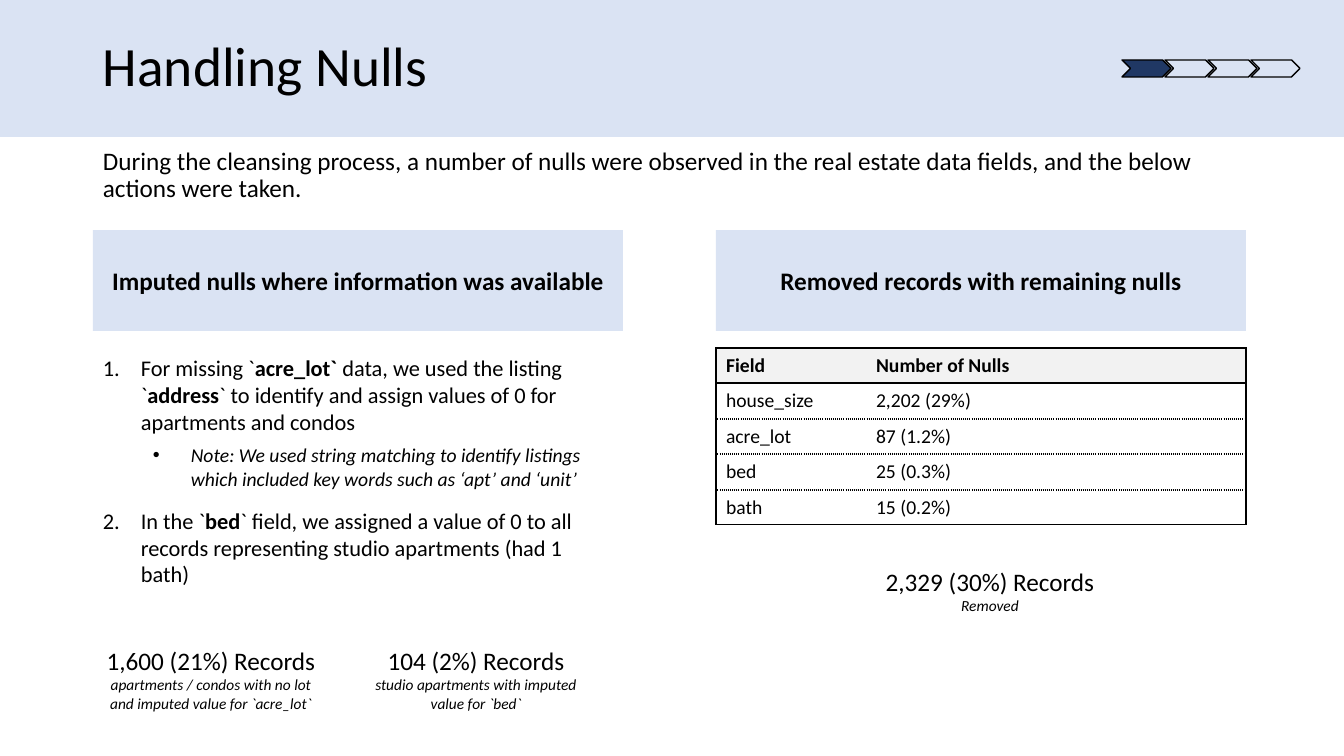
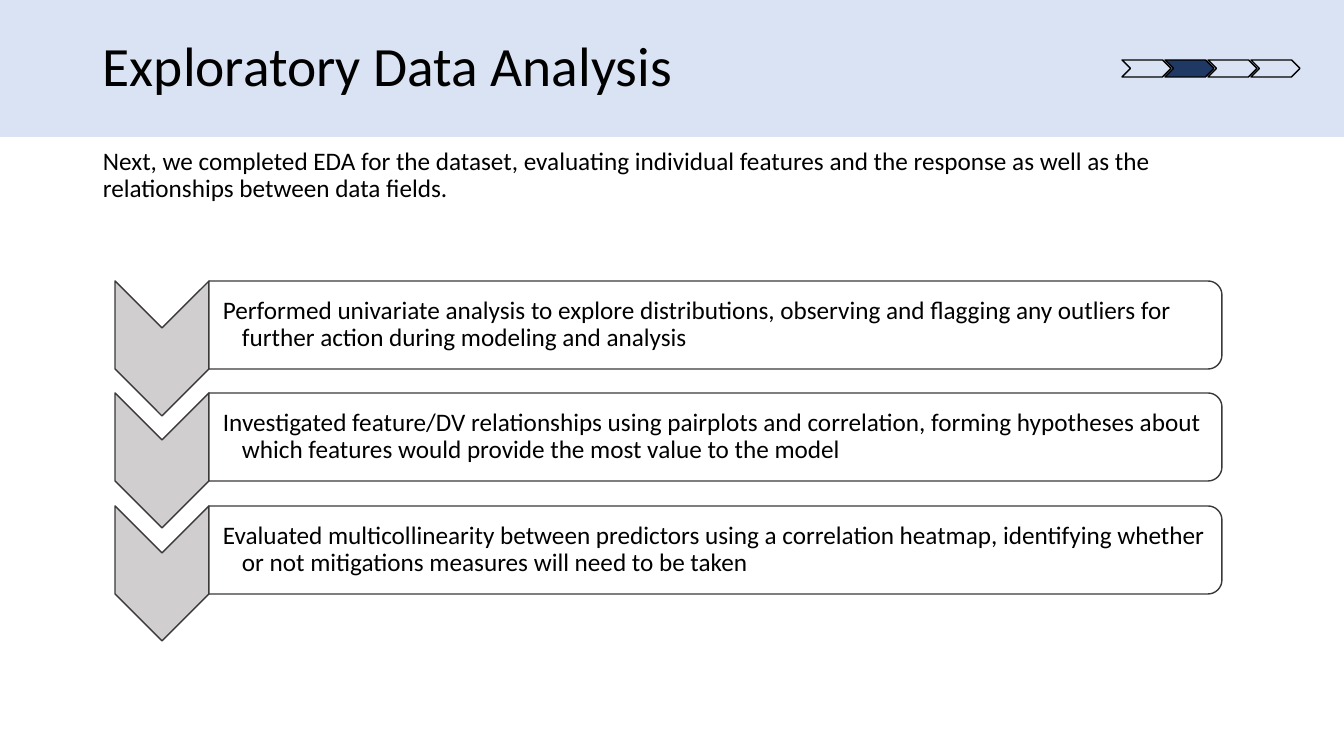
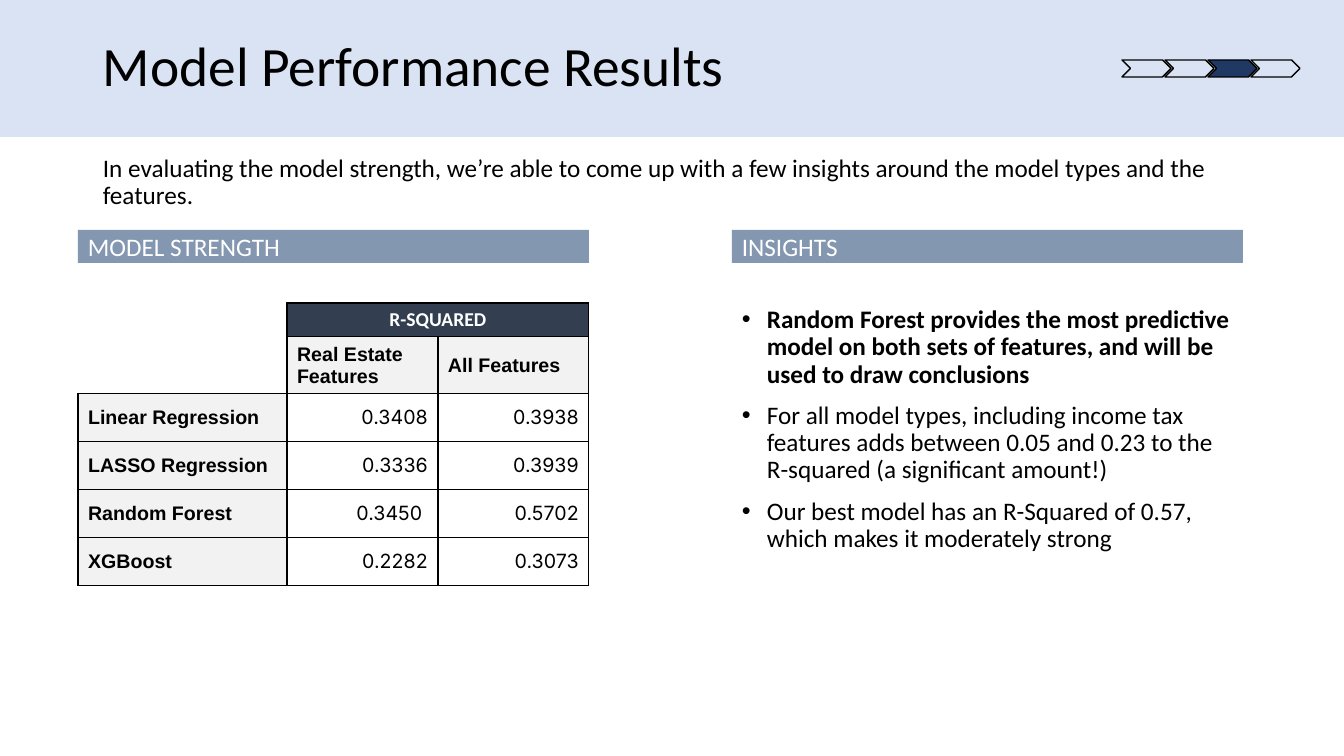
from dataclasses import dataclass
from math import cos, pi, sin

from lxml import etree
from pptx import Presentation
from pptx.dml.color import RGBColor
from pptx.enum.shapes import MSO_SHAPE
from pptx.enum.text import MSO_ANCHOR, PP_ALIGN
from pptx.oxml.ns import qn
from pptx.util import Emu, Pt

LEFT, CENTER, RIGHT = PP_ALIGN.LEFT, PP_ALIGN.CENTER, PP_ALIGN.RIGHT
TOP, MIDDLE = MSO_ANCHOR.TOP, MSO_ANCHOR.MIDDLE
RECTANGLE, CHEVRON = MSO_SHAPE.RECTANGLE, MSO_SHAPE.CHEVRON
EMU_PER_PIXEL = 914400 / 100.8
BLANK_LAYOUT = 6
PLAIN_TABLE_STYLE = "{2D5ABB26-0587-4C30-8999-92F81FD0307C}"
SOLID, DOTTED = "solid", "sysDot"


@dataclass(frozen=True)
class Theme:
    black: str = "000000"
    white: str = "FFFFFF"
    pale_blue: str = "DAE3F3"
    navy: str = "203864"
    steel: str = "8497B0"
    slate: str = "333F50"
    light_gray: str = "F2F2F2"
    arrow_gray: str = "D0CECE"
    outline: str = "3B3838"
    body_font: str = "Calibri"
    label_font: str = "Arial"
    number_font: str = "Inter"
    title: float = 39.6
    body: int = 18
    item: int = 16
    small: int = 14
    caption: int = 11


THEME = Theme()


def px(length):
    return Emu(round(length * EMU_PER_PIXEL))


def write(frame, text, size=THEME.body, font=THEME.body_font, color=THEME.black,
          bold=False, italic=False, align=LEFT, spacing=None, before=None,
          after=None, level=0, margin=0, hanging=0, bullet=None):
    """Add a paragraph; text between ** marks is bold."""
    first = frame.paragraphs[0]
    para = frame.add_paragraph() if first.runs else first
    para.alignment = align
    para.level = level
    para.line_spacing = spacing
    para.space_before = None if before is None else Pt(before)
    para.space_after = None if after is None else Pt(after)
    properties = para._p.get_or_add_pPr()
    properties.set("marL", str(px(margin)))
    properties.set("indent", str(px(-hanging)))
    if bullet == "number":
        etree.SubElement(properties, qn("a:buAutoNum"), type="arabicPeriod")
    elif bullet:
        etree.SubElement(properties, qn("a:buFont"), typeface=THEME.label_font)
        etree.SubElement(properties, qn("a:buChar"), char=bullet)
    for index, part in enumerate(text.split("**")):
        span = para.add_run()
        span.text = part
        span.font.size = Pt(size)
        span.font.name = font
        span.font.bold = bold or index % 2 == 1
        span.font.italic = italic
        span.font.color.rgb = RGBColor.from_string(color)


def add_text_box(page, left, top, width, height, anchor=TOP):
    box = page.shapes.add_textbox(px(left), px(top), px(width), px(height))
    box.text_frame.word_wrap = True
    box.text_frame.vertical_anchor = anchor
    return box.text_frame


def paint(shape, fill, line=None):
    shape.shadow.inherit = False
    shape.fill.solid()
    shape.fill.fore_color.rgb = RGBColor.from_string(fill)
    if line:
        shape.line.color.rgb = RGBColor.from_string(line)
        shape.line.width = Pt(1)
    else:
        shape.line.fill.background()


def add_block(page, kind, left, top, width, height, fill, line=None):
    block = page.shapes.add_shape(kind, px(left), px(top), px(width), px(height))
    paint(block, fill, line)
    block.text_frame.word_wrap = True
    block.text_frame.vertical_anchor = MIDDLE
    return block.text_frame


def add_outline(page, points, fill, line):
    corners = [(px(x), px(y)) for x, y in points]
    builder = page.shapes.build_freeform(*corners[0])
    builder.add_line_segments(corners[1:], close=True)
    outline = builder.convert_to_shape()
    paint(outline, fill, line)
    return outline.text_frame


def add_page(deck, title, stage, intro, intro_top=144):
    page = deck.slides.add_slide(deck.slide_layouts[BLANK_LAYOUT])
    add_block(page, RECTANGLE, 0, 0, 1344, 137, THEME.pale_blue)
    heading = add_text_box(page, 93, 32, 1159, 73, MIDDLE)
    write(heading, title, size=THEME.title, spacing=0.9)
    for index in range(4):
        fill = THEME.navy if index == stage else THEME.pale_blue
        add_block(page, CHEVRON, 1122 + 43 * index, 60, 49, 17, fill, THEME.black)
    frame = add_text_box(page, 93, intro_top, 1159, 73)
    write(frame, intro, spacing=0.9, before=10)
    return page


def add_statistic(page, left, top, value, caption):
    frame = add_text_box(page, left, top, 236, 78)
    write(frame, value, align=CENTER)
    write(frame, caption, size=THEME.caption, italic=True, align=CENTER)


def add_table(page, left, top, widths, heights):
    table = page.shapes.add_table(
        len(heights), len(widths), px(left), px(top),
        px(sum(widths)), px(sum(heights))).table
    table._tbl.tblPr.find(qn("a:tableStyleId")).text = PLAIN_TABLE_STYLE
    table.first_row = table.horz_banding = False
    for column, width in zip(table.columns, widths):
        column.width = px(width)
    for row, height in zip(table.rows, heights):
        row.height = px(height)
    return table


def set_borders(cell, borders):
    properties = cell._tc.get_or_add_tcPr()
    for side in "LRTB":
        if side in borders:
            line = etree.SubElement(properties, qn("a:ln" + side), w=str(Pt(1)))
            paint_node = etree.SubElement(line, qn("a:solidFill"))
            etree.SubElement(paint_node, qn("a:srgbClr"), val=THEME.black)
            etree.SubElement(line, qn("a:prstDash"), val=borders[side])


def fill_cell(cell, text, fill, borders, **text_format):
    set_borders(cell, borders)
    cell.fill.solid()
    cell.fill.fore_color.rgb = RGBColor.from_string(fill)
    cell.vertical_anchor = MIDDLE
    if text:
        write(cell.text_frame, text, size=THEME.small, **text_format)
    else:
        cell.margin_top = cell.margin_bottom = 0


def add_null_table(page):
    rows = [
        ("Field", "Number of Nulls"),
        ("house_size", "2,202 (29%)"),
        ("acre_lot", "87 (1.2%)"),
        ("bed", "25 (0.3%)"),
        ("bath", "15 (0.2%)"),
    ]
    table = add_table(page, 716, 348, [150, 380], [35, 36, 35, 36, 35])
    rules = [SOLID, SOLID] + [DOTTED] * (len(rows) - 2) + [SOLID]
    for row, texts in enumerate(rows):
        for column, text in enumerate(texts):
            borders = {"LR"[column]: SOLID, "T": rules[row], "B": rules[row + 1]}
            fill = THEME.white if row else THEME.light_gray
            fill_cell(table.cell(row, column), text, fill, borders, bold=row == 0)


def add_score_table(page):
    rows = [
        ("", "R-SQUARED", ""),
        ("", "Real Estate Features", "All Features"),
        ("Linear Regression", "0.3408", "0.3938"),
        ("LASSO Regression", "0.3336", "0.3939"),
        ("Random Forest", "0.3450 ", "0.5702"),
        ("XGBoost", "0.2282", "0.3073"),
    ]
    header = dict(color=THEME.white, bold=True, align=CENTER)
    label = dict(font=THEME.label_font, bold=True)
    number = dict(font=THEME.number_font, align=RIGHT)
    table = add_table(page, 78, 303, [209, 151, 151], [33, 54] + [48] * 4)
    table.cell(0, 1).merge(table.cell(0, 2))
    for row, texts in enumerate(rows):
        for column, text in enumerate(texts):
            sides = "LRTB"
            if row < 2 and column == 0:
                fill, style, sides = THEME.white, label, "RB" if row else "R"
            elif row == 0:
                fill, style = THEME.slate, header
            elif row == 1 or column == 0:
                fill, style = THEME.light_gray, label
            else:
                fill, style = THEME.white, number
            borders = dict.fromkeys(sides, SOLID)
            fill_cell(table.cell(row, column), text, fill, borders, **style)


def add_step(page, top, text):
    left, middle, right, edge = 115, 162, 209, 1222
    notch, shoulder, tip, radius = top + 47, top + 88, top + 135, 14
    arrow = [(right, top), (right, shoulder), (middle, tip),
             (left, shoulder), (left, top), (middle, notch)]
    add_outline(page, arrow, THEME.arrow_gray, THEME.outline)
    angles = [pi / 2 * step / 8 for step in range(9)]
    upper = [(edge - radius + radius * sin(angle), top + radius - radius * cos(angle))
             for angle in angles]
    lower = [(x, top + shoulder - y) for x, y in reversed(upper)]
    panel = [(right, top), *upper, *lower, (right, shoulder)]
    frame = add_outline(page, panel, THEME.white, THEME.outline)
    frame.word_wrap = True
    frame.vertical_anchor = MIDDLE
    frame.margin_left = px(14)
    frame.margin_right = frame.margin_top = frame.margin_bottom = px(5)
    write(frame, text, spacing=0.9, level=1, margin=19, hanging=19)


def build_nulls(deck):
    page = add_page(
        deck, "Handling Nulls", 0,
        "During the cleansing process, a number of nulls were observed in the "
        "real estate data fields, and the below actions were taken.")
    for left, text in [(93, "Imputed nulls where information was available"),
                       (716, "Removed records with remaining nulls")]:
        panel = add_block(page, RECTANGLE, left, 230, 530, 101, THEME.pale_blue)
        write(panel, text, bold=True, align=CENTER)
    actions = add_text_box(page, 93, 349, 531, 246)
    numbered = dict(size=THEME.item, after=6, margin=38, hanging=38, bullet="number")
    write(actions, "For missing `**acre_lot` **data, we used the listing `**address**` "
          "to identify and assign values of 0 for apartments and condos", **numbered)
    write(actions, "Note: We used string matching to identify listings which included "
          "key words such as ‘apt’ and ‘unit’", size=THEME.small, italic=True,
          after=12, level=1, margin=88, hanging=38, bullet="•")
    write(actions, "In the `**bed**` field, we assigned a value of 0 to all records "
          "representing studio apartments (had 1 bath)", **numbered)
    add_null_table(page)
    add_statistic(page, 93, 640, "1,600 (21%) Records",
                  "apartments / condos with no lot and imputed value for `acre_lot`")
    add_statistic(page, 358, 640, "104 (2%) Records",
                  "studio apartments with imputed value for `bed`")
    add_statistic(page, 872, 561, "2,329 (30%) Records", "Removed")


def build_analysis(deck):
    page = add_page(
        deck, "Exploratory Data Analysis", 1,
        "Next, we completed EDA for the dataset, evaluating individual features and "
        "the response as well as the relationships between data fields.")
    steps = [
        "Performed univariate analysis to explore distributions, observing and "
        "flagging any outliers for further action during modeling and analysis",
        "Investigated feature/DV relationships using pairplots and correlation, forming "
        "hypotheses about which features would provide the most value to the model",
        "Evaluated multicollinearity between predictors using a correlation heatmap, "
        "identifying whether or not mitigations measures will need to be taken",
    ]
    for index, text in enumerate(steps):
        add_step(page, 281 + 225 * index // 2, text)


def build_results(deck):
    page = add_page(
        deck, "Model Performance Results", 2,
        "In evaluating the model strength, we’re able to come up with a few insights "
        "around the model types and the features.", intro_top=151)
    for left, text in [(78, "MODEL STRENGTH"), (732, "INSIGHTS")]:
        bar = add_block(page, RECTANGLE, left, 230, 511, 33, THEME.steel)
        write(bar, text, color=THEME.white)
    add_score_table(page)
    insights = [
        "**Random Forest provides the most predictive model on both sets of features, "
        "and will be used to draw conclusions**",
        "For all model types, including income tax features adds between 0.05 and 0.23 "
        "to the R-squared (a significant amount!)",
        "Our best model has an R-Squared of 0.57, which makes it moderately strong",
    ]
    frame = add_text_box(page, 732, 302, 511, 360)
    for text in insights:
        write(frame, text, spacing=0.9, before=10, margin=25, hanging=25, bullet="•")


def main():
    deck = Presentation()
    deck.slide_width, deck.slide_height = px(1344), px(756)
    build_nulls(deck)
    build_analysis(deck)
    build_results(deck)
    deck.save("out.pptx")


main()
